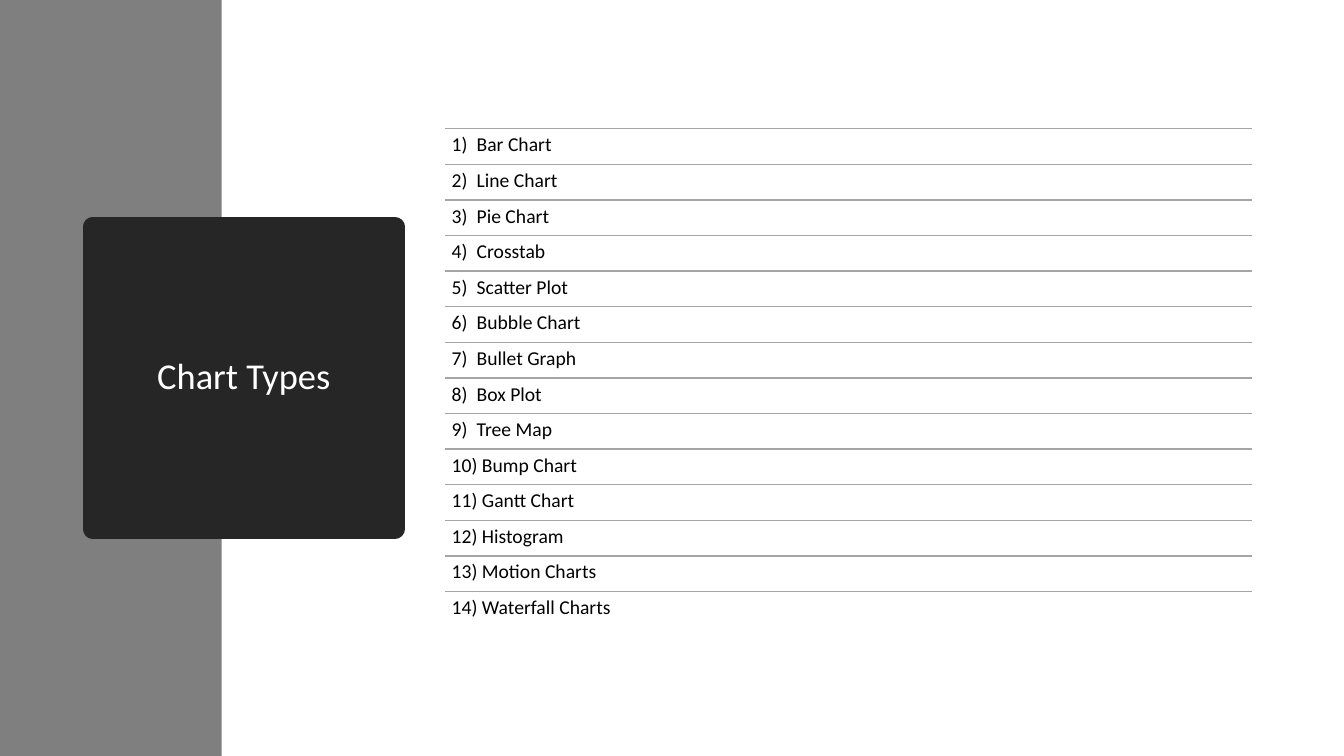
"""Build the chart types slide: a title block beside a ruled list."""
from dataclasses import dataclass

from lxml import etree
from pptx import Presentation
from pptx.dml import color
from pptx.enum import shapes, text
from pptx.oxml import ns
from pptx.util import Pt


@dataclass(frozen=True)
class Theme:
    """Hold colours, font and type sizes."""
    band: str = "7F7F7F"
    block: str = "262626"
    rule: str = "A5A5A5"
    light: str = "FFFFFF"
    dark: str = "000000"
    font: str = "Calibri"
    head: float = 26
    body: float = 14


@dataclass(frozen=True)
class Box:
    """Place a box in points."""
    left: float
    top: float
    width: float
    height: float

    def spot(self) -> tuple:
        """Give the place as lengths."""
        return tuple(map(Pt, (self.left, self.top, self.width, self.height)))


@dataclass(frozen=True)
class Row:
    """Describe one list entry."""
    rank: int
    label: str
    box: Box


THEME = Theme()
PAGE = Box(0, 0, 960, 540)
BAND = Box(0, 0, 158.4, 540)
BLOCK = Box(66.24, 162, 216, 216)
LIST = Box(318.24, 92, 576, 25.42)
EDGE = 13.75
INSET = 4.4
TAB = 17.9
LABELS = (
    "Bar Chart", "Line Chart", "Pie Chart", "Crosstab", "Scatter Plot",
    "Bubble Chart", "Bullet Graph", "Box Plot", "Tree Map", "Bump Chart",
    "Gantt Chart", "Histogram", "Motion Charts", "Waterfall Charts",
)
ROWS = [
    Row(n + 1, label, Box(LIST.left, LIST.top + n * LIST.height, LIST.width, LIST.height))
    for n, label in enumerate(LABELS)
]


def tint(code: str) -> color.RGBColor:
    """Turn a hex code into a colour."""
    return color.RGBColor.from_string(code)


def apply(item, traits: dict) -> None:
    """Set each trait on the item."""
    for name, value in traits.items():
        setattr(item, name, value)


def write(frame, words: str, size: float, ink: str, align):
    """Write one styled paragraph and return it."""
    line = frame.paragraphs[0]
    apply(line, {"alignment": align, "line_spacing": 0.9})
    run = line.add_run()
    run.text = words
    apply(run.font, {"name": THEME.font, "size": Pt(size)})
    run.font.color.rgb = tint(ink)
    return line


def panel(slide, box: Box, fill: str):
    """Draw a plain filled panel."""
    shape = slide.shapes.add_shape(shapes.MSO_SHAPE.RECTANGLE, *box.spot())
    shape.shadow.inherit = False
    shape.fill.solid()
    shape.fill.fore_color.rgb = tint(fill)
    shape.line.fill.background()
    return shape


def title(slide, words: str) -> None:
    """Draw the title block with its soft edge."""
    shape = panel(slide, BLOCK, THEME.block)
    shape.line.color.rgb = tint(THEME.block)
    shape.line.width = Pt(EDGE)
    edge = shape.element.spPr.find(ns.qn("a:ln"))
    etree.SubElement(edge, ns.qn("a:round"))
    apply(shape.text_frame, {"word_wrap": True, "vertical_anchor": text.MSO_ANCHOR.MIDDLE})
    write(shape.text_frame, words, THEME.head, THEME.light, text.PP_ALIGN.CENTER)


def rule(slide, box: Box) -> None:
    """Draw a rule along the top of a box."""
    ends = map(Pt, (box.left, box.top, box.left + box.width, box.top))
    line = slide.shapes.add_connector(shapes.MSO_CONNECTOR.STRAIGHT, *ends)
    line.line.color.rgb = tint(THEME.rule)
    line.line.width = Pt(1)
    etree.SubElement(line.element.spPr, ns.qn("a:effectLst"))


def entry(slide, row: Row) -> None:
    """Draw one ruled list entry."""
    rule(slide, row.box)
    frame = slide.shapes.add_textbox(*row.box.spot()).text_frame
    apply(frame, {f"margin_{side}": Pt(INSET) for side in ("left", "top", "right", "bottom")})
    apply(frame, {"word_wrap": True, "vertical_anchor": text.MSO_ANCHOR.TOP})
    gap = "\t" if row.rank < 10 else " "
    line = write(frame, f"{row.rank}){gap}{row.label}", THEME.body, THEME.dark, text.PP_ALIGN.LEFT)
    stops = etree.SubElement(line._p.get_or_add_pPr(), ns.qn("a:tabLst"))
    etree.SubElement(stops, ns.qn("a:tab"), pos=str(Pt(TAB)), algn="l")


def main() -> None:
    """Build and save the slide."""
    deck = Presentation()
    apply(deck, {"slide_width": Pt(PAGE.width), "slide_height": Pt(PAGE.height)})
    slide = deck.slides.add_slide(deck.slide_layouts[6])
    panel(slide, BAND, THEME.band)
    title(slide, "Chart Types")
    for row in ROWS:
        entry(slide, row)
    deck.save("out.pptx")


if __name__ == "__main__":
    main()
